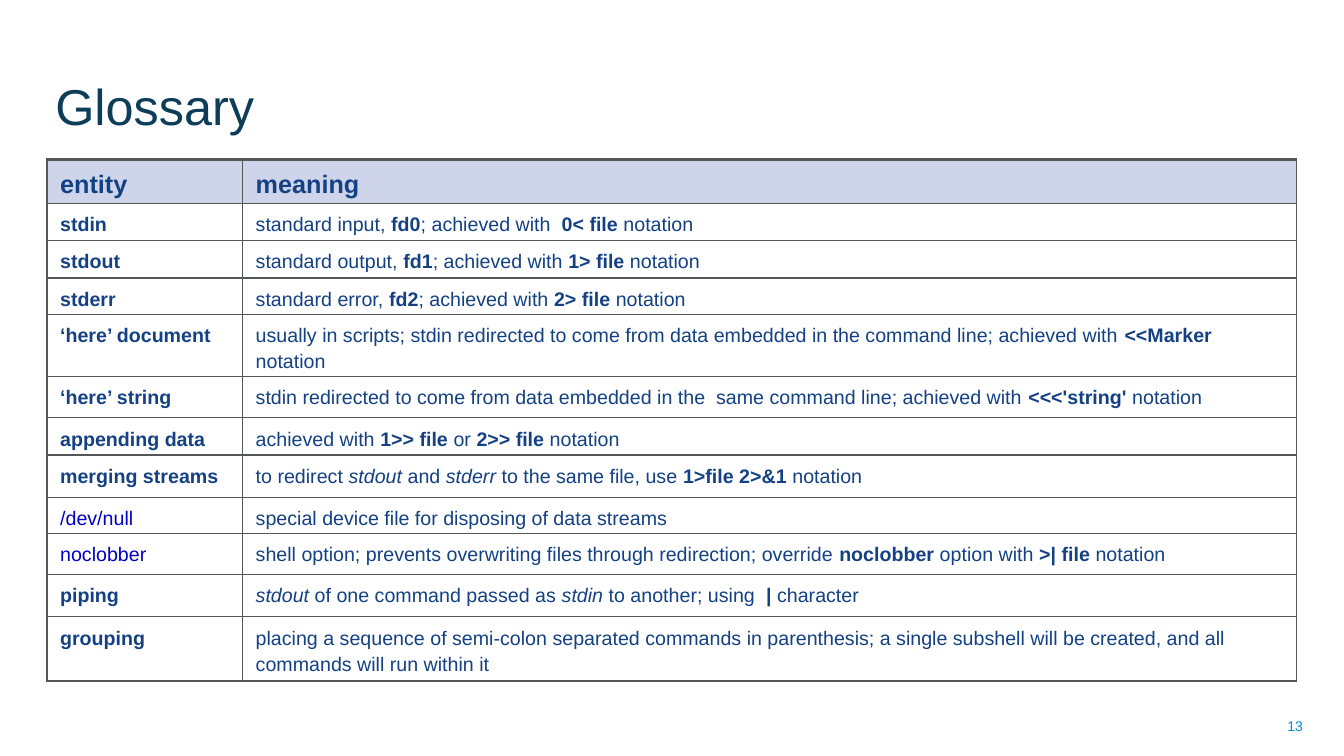
from dataclasses import dataclass

from lxml import etree
from pptx import Presentation
from pptx import util as u
from pptx.dml.color import RGBColor
from pptx.enum import text
from pptx.oxml import ns


@dataclass(frozen=True)
class Theme:
    font: str = "Arial"
    title: str = "0D3D59"
    body: str = "134183"
    link: str = "0000C8"
    page: str = "008FD0"
    band: str = "CED5EA"
    rule: str = "565759"
    big: int = 36
    head: int = 18
    base: int = 14
    small: int = 10
    thin: float = 1
    edge: float = 1.5
    thick: float = 2.25
    lead: float = 1.2


THEME = Theme()
COLS = (1.94, 10.45)
ROWS = (
    (0.44, "*entity*", "*meaning*"),
    (0.37, "*stdin*", "standard input, *fd0*; achieved with  *0< file* notation"),
    (0.37, "*stdout*", "standard output, *fd1*; achieved with *1> file* notation"),
    (0.36, "*stderr*", "standard error, *fd2*; achieved with *2> file* notation"),
    (0.62, "*‘here’ document*",
     "usually in scripts; stdin redirected to come from data embedded in the "
     "command line; achieved with *<<Marker* notation"),
    (0.41, "*‘here’ string*",
     "stdin redirected to come from data embedded in the  same command line; "
     "achieved with *<<<'string' *notation"),
    (0.37, "*appending data*", "achieved with *1>> file* or *2>> file* notation"),
    (0.42, "*merging streams*",
     "to redirect _stdout_ and _stderr_ to the same file, use *1>file 2>&1* notation"),
    (0.36, "/dev/null", "special device file for disposing of data streams"),
    (0.41, "noclobber",
     "shell option; prevents overwriting files through redirection; override "
     "*noclobber* option with *>| file* notation"),
    (0.42, "*piping*",
     "_stdout_ of one command passed as _stdin_ to another; using  *|* character"),
    (0.64, "*grouping*",
     "placing a sequence of semi-colon separated commands in parenthesis; a single "
     "subshell will be created, and all commands will run within it"),
)


def share(deck, left, top, wide, high):
    w, h = deck.slide_width / 100, deck.slide_height / 100
    return [round(n) for n in (left * w, top * h, wide * w, high * h)]


def add_run(para, words, size, color, bold=False, slant=False):
    run = para.add_run()
    run.text = words
    font = run.font
    font.name, font.size = THEME.font, u.Pt(size)
    font.bold, font.italic = bold, slant
    font.color.rgb = RGBColor.from_string(color)


def add_marked(para, words, size, color):
    for i, part in enumerate(words.split("*")):
        for j, piece in enumerate(part.split("_")):
            if piece:
                add_run(para, piece, size, color, i % 2 == 1, j % 2 == 1)


def add_label(slide, box, words, size, color, align, anchor):
    frame = slide.shapes.add_textbox(*box).text_frame
    frame.word_wrap = True
    frame.vertical_anchor = anchor
    para = frame.paragraphs[0]
    para.alignment = align
    add_run(para, words, size, color)


def add_edges(cell, widths):
    props = cell._tc.get_or_add_tcPr()
    for i, (side, width) in enumerate(zip("LRTB", widths)):
        line = etree.Element(ns.qn("a:ln" + side), w=str(u.Pt(width)))
        fill = etree.SubElement(line, ns.qn("a:solidFill"))
        etree.SubElement(fill, ns.qn("a:srgbClr"), val=THEME.rule)
        props.insert(i, line)


def fill_cell(cell, words, size, color, band, widths):
    cell.margin_left = cell.margin_right = u.Inches(0.13)
    cell.margin_top, cell.margin_bottom = u.Inches(0.06), 0
    if band:
        cell.fill.solid()
        cell.fill.fore_color.rgb = RGBColor.from_string(THEME.band)
    else:
        cell.fill.background()
    para = cell.text_frame.paragraphs[0]
    para.line_spacing = THEME.lead
    add_marked(para, words, size, color)
    add_edges(cell, widths)


def add_terms(slide, box):
    wide, high = box[2:]
    table = slide.shapes.add_table(len(ROWS), len(COLS), *box).table
    table.first_row = table.horz_banding = False
    for col, part in zip(table.columns, COLS):
        col.width = round(wide * part / sum(COLS))
    total = sum(row[0] for row in ROWS)
    last = len(ROWS) - 1
    for r, (part, *cells) in enumerate(ROWS):
        table.rows[r].height = round(high * part / total)
        for c, words in enumerate(cells):
            plain = c == 0 and "*" not in words
            widths = (THEME.thin if c else THEME.edge, THEME.thin,
                      THEME.thin if r else THEME.thick,
                      THEME.edge if r == last else THEME.thin)
            fill_cell(table.cell(r, c), words,
                      THEME.base if r else THEME.head,
                      THEME.link if plain else THEME.body,
                      r == 0, widths)


def build():
    deck = Presentation()
    deck.slide_width, deck.slide_height = u.Inches(13.33), u.Inches(7.5)
    slide = deck.slides.add_slide(deck.slide_layouts[6])
    add_label(slide, share(deck, 74.34, 93.33, 23.33, 5.33), "13",
              THEME.small, THEME.page, text.PP_ALIGN.RIGHT, text.MSO_ANCHOR.MIDDLE)
    add_label(slide, share(deck, 3.38, 1.8, 74.87, 16.8), "Glossary",
              THEME.big, THEME.title, text.PP_ALIGN.LEFT, text.MSO_ANCHOR.BOTTOM)
    add_terms(slide, share(deck, 3.5, 21.07, 92.95, 69.05))
    deck.save("out.pptx")


build()
